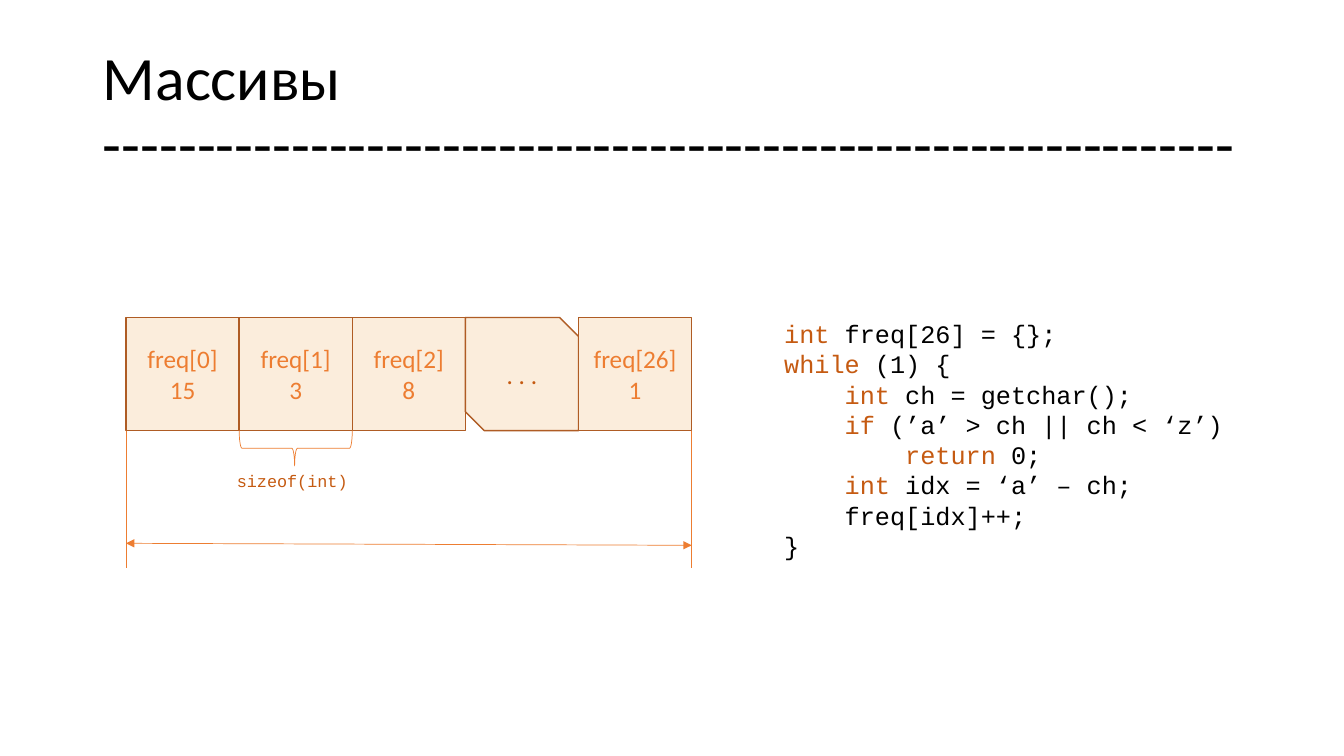
from dataclasses import dataclass

from lxml import etree
from pptx import Presentation, util as u
from pptx.dml.color import RGBColor
from pptx.enum import shapes, text
from pptx.oxml.ns import qn


@dataclass(frozen=True)
class Theme:
    ink: str = "000000"
    keyword: str = "C55A11"
    accent: str = "ED7D31"
    cell_fill: str = "FBEDDC"
    cell_edge: str = "AF5C24"
    body_font: str = "Calibri"
    code_font: str = "Courier New"
    title_size: int = 44
    body_size: int = 18
    note_size: int = 12
    edge: float = 1
    hairline: float = 0.5


THEME = Theme()
KIND = shapes.MSO_SHAPE


def px(length):
    return u.Emu(round(length * 9144))


def rgb(color):
    return RGBColor.from_string(color)


def write(frame, lines, size=THEME.body_size, font=THEME.body_font, color=THEME.ink,
          align=text.PP_ALIGN.LEFT, anchor=text.MSO_ANCHOR.TOP, spacing=None, wrap=True,
          fit=text.MSO_AUTO_SIZE.NONE):
    frame.word_wrap = wrap
    frame.auto_size = fit
    frame.vertical_anchor = anchor
    for index, line in enumerate(lines):
        paragraph = frame.add_paragraph() if index else frame.paragraphs[0]
        paragraph.alignment = align
        paragraph.line_spacing = spacing
        for words, shade in [(line, color)] if isinstance(line, str) else line:
            for row, part in enumerate(words.split("\n")):
                if row:
                    paragraph.add_line_break()
                run = paragraph.add_run()
                run.text = part
                run.font.name = font
                run.font.size = u.Pt(size)
                run.font.color.rgb = rgb(shade)


def draw_shape(slide, kind, box, edge, width, fill=None):
    shape = slide.shapes.add_shape(kind, *map(px, box))
    shape.shadow.inherit = False
    if fill:
        shape.fill.solid()
        shape.fill.fore_color.rgb = rgb(fill)
    else:
        shape.fill.background()
    shape.line.color.rgb = rgb(edge)
    shape.line.width = u.Pt(width)
    return shape


def draw_line(slide, start, end, arrows=False):
    line = slide.shapes.add_connector(shapes.MSO_CONNECTOR.STRAIGHT, *map(px, start + end))
    line.line.color.rgb = rgb(THEME.accent)
    line.line.width = u.Pt(THEME.hairline)
    properties = line.line._get_or_add_ln()
    if arrows:
        for tip in ("a:headEnd", "a:tailEnd"):
            etree.SubElement(properties, qn(tip), type="triangle")
    etree.SubElement(properties.getparent(), qn("a:effectLst"))


def heading(slide, box):
    title = slide.shapes.title
    title.left, title.top, title.width, title.height = map(px, box)
    write(title.text_frame, ["Массивы\n" + "-" * 60], size=THEME.title_size,
          anchor=text.MSO_ANCHOR.MIDDLE, spacing=0.9)


def array_diagram(slide, box):
    left, top, width, height = box
    cells = [("freq[0]", "15"), ("freq[1]", "3"), ("freq[2]", "8"), (". . .",), ("freq[26]", "1")]
    side = width / len(cells)
    right, base = left + width, top + side
    for index, lines in enumerate(cells):
        gap = len(lines) == 1
        cell = draw_shape(slide, KIND.SNIP_2_DIAG_RECTANGLE if gap else KIND.RECTANGLE,
                          (left + index * side, top, side, side),
                          THEME.cell_edge, THEME.edge, THEME.cell_fill)
        write(cell.text_frame, lines, color=THEME.keyword if gap else THEME.accent,
              align=text.PP_ALIGN.CENTER, anchor=text.MSO_ANCHOR.MIDDLE)

    depth = 35
    brace = draw_shape(slide, KIND.RIGHT_BRACE,
                       (left + 1.5 * side - depth / 2, base + (depth - side) / 2, depth, side),
                       THEME.accent, THEME.hairline)
    brace.rotation = 90
    brace.adjustments[0], brace.adjustments[1] = 0.08, 0.51
    size_label = slide.shapes.add_textbox(*map(px, (left + 100, base + depth, 132, 30)))
    write(size_label.text_frame, ["sizeof(int)"], size=THEME.note_size, font=THEME.code_font,
          color=THEME.keyword, wrap=False, fit=text.MSO_AUTO_SIZE.SHAPE_TO_FIT_TEXT)

    for edge in (left, right):
        draw_line(slide, (edge, base), (edge, top + height))
    draw_line(slide, (left, top + height - 25), (right, top + height - 23), arrows=True)


def code_listing(slide, box):
    key, ink = THEME.keyword, THEME.ink
    listing = slide.shapes.add_textbox(*map(px, box))
    write(listing.text_frame, [
        [("int ", key), ("freq[26] = {};", ink)],
        [("while ", key), ("(1) {", ink)],
        [("    int ", key), ("ch = getchar();", ink)],
        [("    if", key), (" (’a’ > ch || ch < ‘z’)", ink)],
        [("        return", key), (" 0;", ink)],
        [("    int ", key), ("idx = ‘a’ – ch;", ink)],
        "    freq[idx]++;",
        "}",
    ], font=THEME.code_font, fit=text.MSO_AUTO_SIZE.SHAPE_TO_FIT_TEXT)


def main():
    deck = Presentation()
    deck.slide_width, deck.slide_height = px(1333), px(750)
    slide = deck.slides.add_slide(deck.slide_layouts[5])
    heading(slide, (92, 40, 1150, 145))
    array_diagram(slide, (125, 315, 561, 249))
    code_listing(slide, (768, 311, 566, 252))
    deck.save("out.pptx")


if __name__ == "__main__":
    main()
